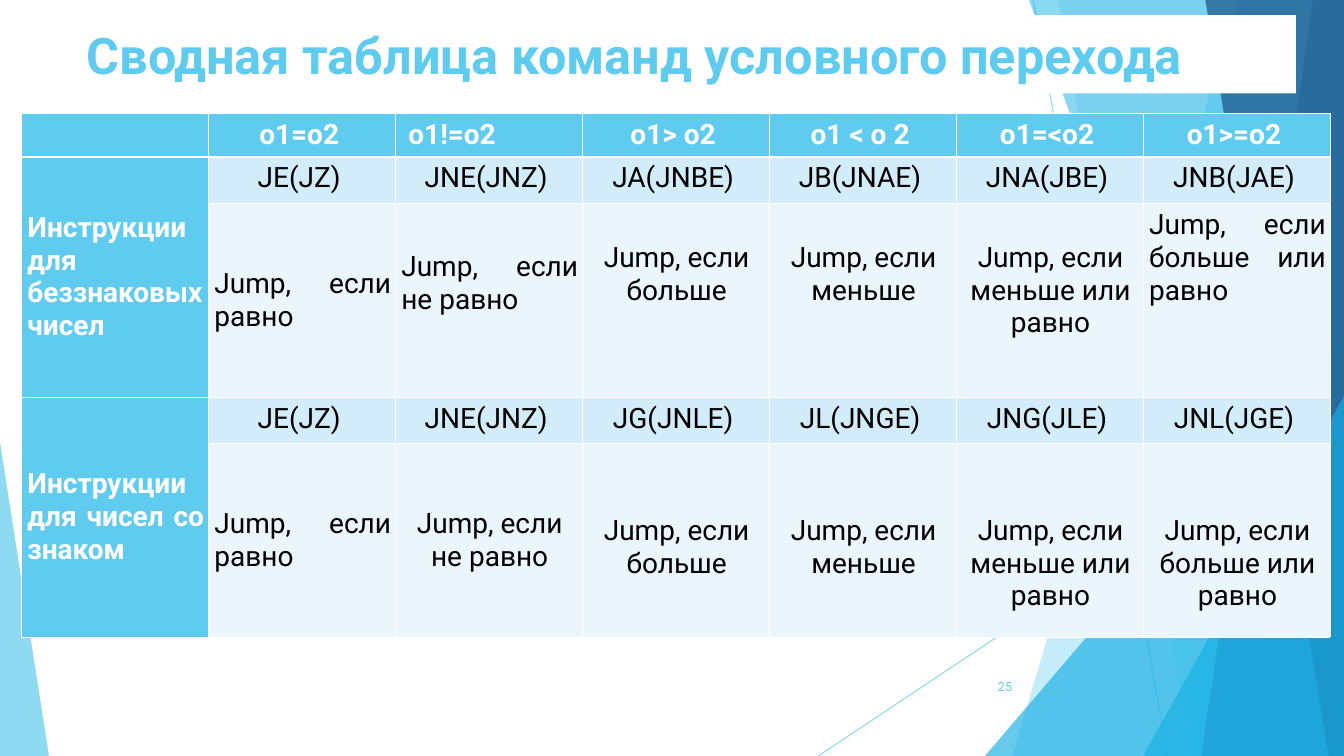
from collections import namedtuple
from dataclasses import dataclass

from lxml.etree import SubElement
from pptx import Presentation
from pptx.dml.color import RGBColor
from pptx.enum.shapes import MSO_CONNECTOR, MSO_SHAPE
from pptx.enum.text import MSO_ANCHOR as Anchor, MSO_AUTO_SIZE, PP_ALIGN as Align
from pptx.oxml.ns import qn
from pptx.util import Pt

Box = namedtuple("Box", "left top width height")
Note = namedtuple("Note", "text align anchor above below", defaults=(0, 0))


@dataclass(frozen=True)
class Theme:
    font: str = "Roboto"
    accent: str = "5FCBEF"
    bright: str = "17B0E4"
    blue: str = "2E83C3"
    navy: str = "236292"
    code_row: str = "D2ECF9"
    note_row: str = "EAF6FC"
    white: str = "FFFFFF"
    black: str = "000000"
    title_size: int = 36
    table_size: int = 20
    number_size: int = 9


THEME = Theme()
LINE_HEIGHT = 23.4  # one line of table text

CONDITIONS = ["о1=о2", "о1!=о2", "о1> о2", "о1 < о 2", "о1=<о2", "о1>=о2"]
EQUAL = Note("Jump, если равно", Align.JUSTIFY, Anchor.MIDDLE)
NOT_EQUAL = "Jump, если не равно"
GREATER_EQUAL = "Jump, если больше или равно"
COMPARISONS = ["Jump, если больше", "Jump, если меньше", "Jump, если меньше или равно"]


def centred(texts, above):
    return [Note(text, Align.CENTER, Anchor.TOP, above) for text in texts]


GROUPS = [
    ("Инструкции для\nбеззнаковых чисел",
     ["JE(JZ)", "JNE(JNZ)", "JA(JNBE)", "JB(JNAE)", "JNA(JBE)", "JNB(JAE)"],
     [EQUAL, Note(NOT_EQUAL, Align.JUSTIFY, Anchor.MIDDLE, 0, 1),
      *centred(COMPARISONS, 1), Note(GREATER_EQUAL, Align.JUSTIFY, Anchor.TOP)]),
    ("Инструкции для чисел со знаком",
     ["JE(JZ)", "JNE(JNZ)", "JG(JNLE)", "JL(JNGE)", "JNG(JLE)", "JNL(JGE)"],
     [EQUAL, Note(NOT_EQUAL, Align.CENTER, Anchor.MIDDLE),
      *centred(COMPARISONS + [GREATER_EQUAL], 2)]),
]


def apply(target, formats):
    for name, value in formats.items():
        setattr(target, name, value)


def write(frame, text, align, size, color, bold=False):
    frame.text = text
    for paragraph in frame.paragraphs:
        paragraph.alignment = align
        for run in paragraph.runs:
            apply(run.font, {"name": THEME.font, "size": Pt(size), "bold": bold})
            run.font.color.rgb = RGBColor.from_string(color)


def set_opacity(shape, percent):
    for color in shape._element.spPr.iter(qn("a:srgbClr")):
        SubElement(color, qn("a:alpha"), val=str(percent * 1000))


def paint(shape, color, opacity):
    shape.shadow.inherit = False
    shape.fill.solid()
    shape.fill.fore_color.rgb = RGBColor.from_string(color)
    shape.line.fill.background()
    set_opacity(shape, opacity)


def add_backdrop(slide, box):
    right, bottom = box.left + box.width, box.top + box.height

    def ray(start, end):
        line = slide.shapes.add_connector(MSO_CONNECTOR.STRAIGHT, *map(Pt, start + end))
        line.line.color.rgb = RGBColor.from_string(THEME.accent)
        line.line.width = Pt(0.75)
        set_opacity(line, 70)
        SubElement(line._element.spPr, qn("a:effectLst"))

    def band(top_x, bottom_x, color, opacity):
        outline = slide.shapes.build_freeform(Pt(box.left + top_x), Pt(box.top))
        corners = [(right, box.top), (right, bottom), (box.left + bottom_x, bottom)]
        outline.add_line_segments([(Pt(x), Pt(y)) for x, y in corners], close=True)
        paint(outline.convert_to_shape(), color, opacity)

    def wedge(left, width, height, apex, color, opacity):
        place = (box.left + left, bottom - height, width, height)
        shape = slide.shapes.add_shape(MSO_SHAPE.ISOSCELES_TRIANGLE, *map(Pt, place))
        shape.adjustments[0] = apex
        paint(shape, color, opacity)

    # Thin rays, then the facets from back to front
    ray((box.left + 738, box.top), (box.left + 834, bottom))
    ray((right, box.top + 290), (box.left + 584.5, bottom))
    band(884, 723, THEME.accent, 36)
    band(756, 851, THEME.accent, 20)
    wedge(703.5, 256.5, 300, 1, THEME.bright, 66)
    band(735, 930, THEME.bright, 50)
    band(938, 858, THEME.blue, 70)
    band(861, 949, THEME.navy, 80)
    wedge(816.5, 143.5, 257, 1, THEME.bright, 66)
    wedge(0, 35, 224, 0, THEME.accent, 70)


def add_title(slide, box, text):
    title = slide.shapes.title
    slide.shapes._spTree.append(title._element)  # in front of the backdrop
    apply(title, {name: Pt(value) for name, value in box._asdict().items()})
    title.fill.solid()
    title.fill.fore_color.rgb = RGBColor.from_string(THEME.white)
    apply(title.text_frame, {"word_wrap": True, "auto_size": MSO_AUTO_SIZE.NONE,
                             "vertical_anchor": Anchor.MIDDLE})
    write(title.text_frame, text, Align.LEFT, THEME.title_size, THEME.accent, True)


def style_cell(cell, fill, heavy=""):
    properties = cell._tc.get_or_add_tcPr()
    for side in "LRTB":
        width = 1.47 if side == heavy else 0.45
        border = SubElement(properties, qn(f"a:ln{side}"), w=str(Pt(width)))
        SubElement(SubElement(border, qn("a:solidFill")), qn("a:srgbClr"), val=THEME.white)
    cell.fill.solid()
    cell.fill.fore_color.rgb = RGBColor.from_string(fill)


def fill_cell(cell, note, color, bold=False, left=4.3, right=3):
    apply(cell, {"vertical_anchor": note.anchor, "margin_left": Pt(left),
                 "margin_right": Pt(right),
                 "margin_top": Pt(3.6 + note.above * LINE_HEIGHT),
                 "margin_bottom": Pt(3.6 + note.below * LINE_HEIGHT)})
    write(cell.text_frame, note.text, note.align, THEME.table_size, color, bold)


def add_jump_table(slide, box):
    columns = len(CONDITIONS) + 1
    heights = [31] + [33.2, 138.4] * len(GROUPS)
    table = slide.shapes.add_table(len(heights), columns, *map(Pt, box)).table
    apply(table, {"first_row": False, "horz_banding": False})
    for column in table.columns:
        column.width = Pt(box.width / columns)
    for row, height in zip(table.rows, heights):
        row.height = Pt(height)

    # Fills and borders
    row_fills = [THEME.accent] + [THEME.code_row, THEME.note_row] * len(GROUPS)
    for r, row_fill in enumerate(row_fills):
        for c in range(columns):
            heavy = {0: "B", 1: "T"}.get(r, "")
            style_cell(table.cell(r, c), row_fill if c else THEME.accent, heavy)

    # Header
    for c, condition in enumerate(CONDITIONS, 1):
        justified = c == 2
        note = Note(condition, Align.JUSTIFY if justified else Align.CENTER, Anchor.MIDDLE)
        fill_cell(table.cell(0, c), note, THEME.white, True, 9.3 if justified else 4.3, 8)

    # Unsigned and signed groups
    for g, (label, codes, notes) in enumerate(GROUPS):
        r = 1 + 2 * g
        table.cell(r, 0).merge(table.cell(r + 1, 0))
        label_note = Note(label, Align.JUSTIFY, Anchor.MIDDLE)
        fill_cell(table.cell(r, 0), label_note, THEME.white, True)
        for c, (code, note) in enumerate(zip(codes, notes), 1):
            code_note = Note(code, Align.CENTER, Anchor.TOP)
            fill_cell(table.cell(r, c), code_note, THEME.black, right=8)
            fill_cell(table.cell(r + 1, c), note, THEME.black)


def add_page_number(slide, box, number):
    frame = slide.shapes.add_textbox(*map(Pt, box)).text_frame
    apply(frame, {"word_wrap": True, "vertical_anchor": Anchor.MIDDLE})
    write(frame, number, Align.RIGHT, THEME.number_size, THEME.accent)


def main():
    deck = Presentation()
    apply(deck, {"slide_width": Pt(960), "slide_height": Pt(540)})
    slide = deck.slides.add_slide(deck.slide_layouts[5])
    add_backdrop(slide, Box(0, 0, 960, 540))
    add_title(slide, Box(54.7, 10.8, 871, 56), "Сводная таблица команд условного перехода")
    add_jump_table(slide, Box(15.3, 81, 934.8, 374.2))
    add_page_number(slide, Box(676, 476, 54, 28.8), "25")
    deck.save("out.pptx")


if __name__ == "__main__":
    main()
